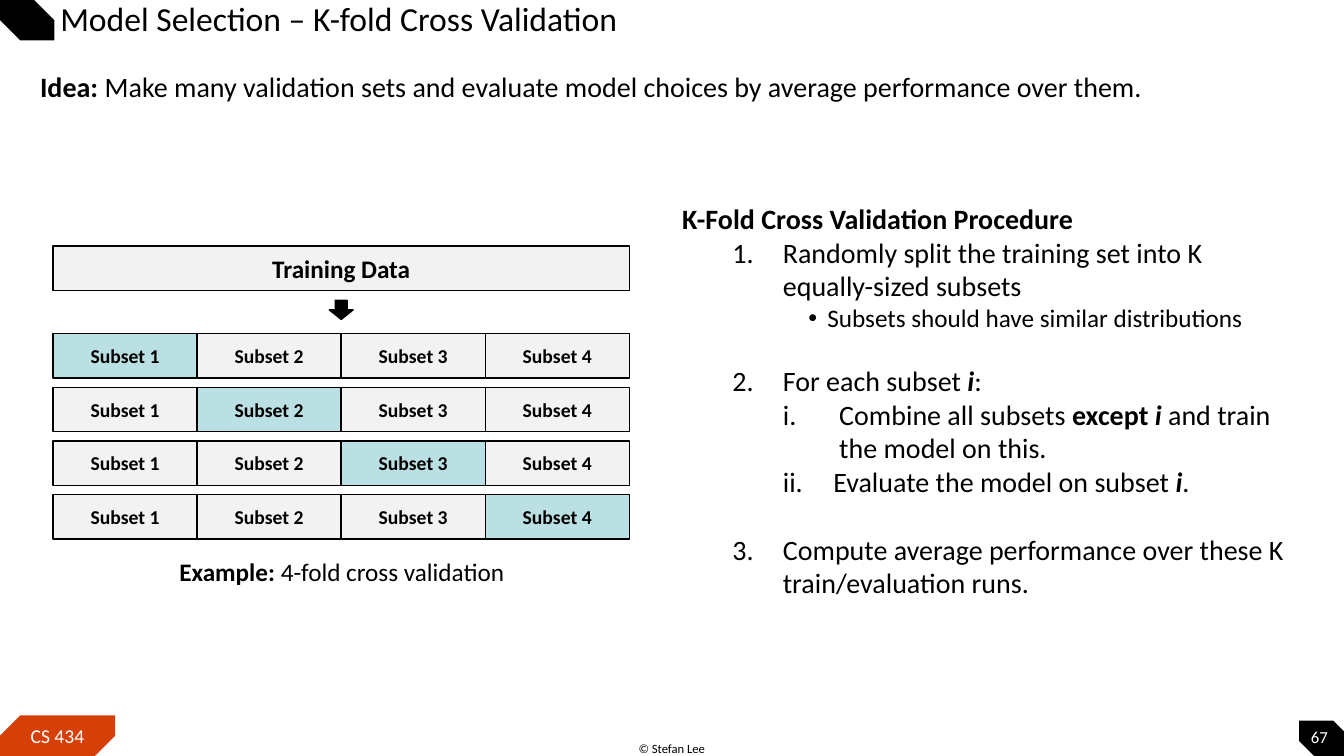
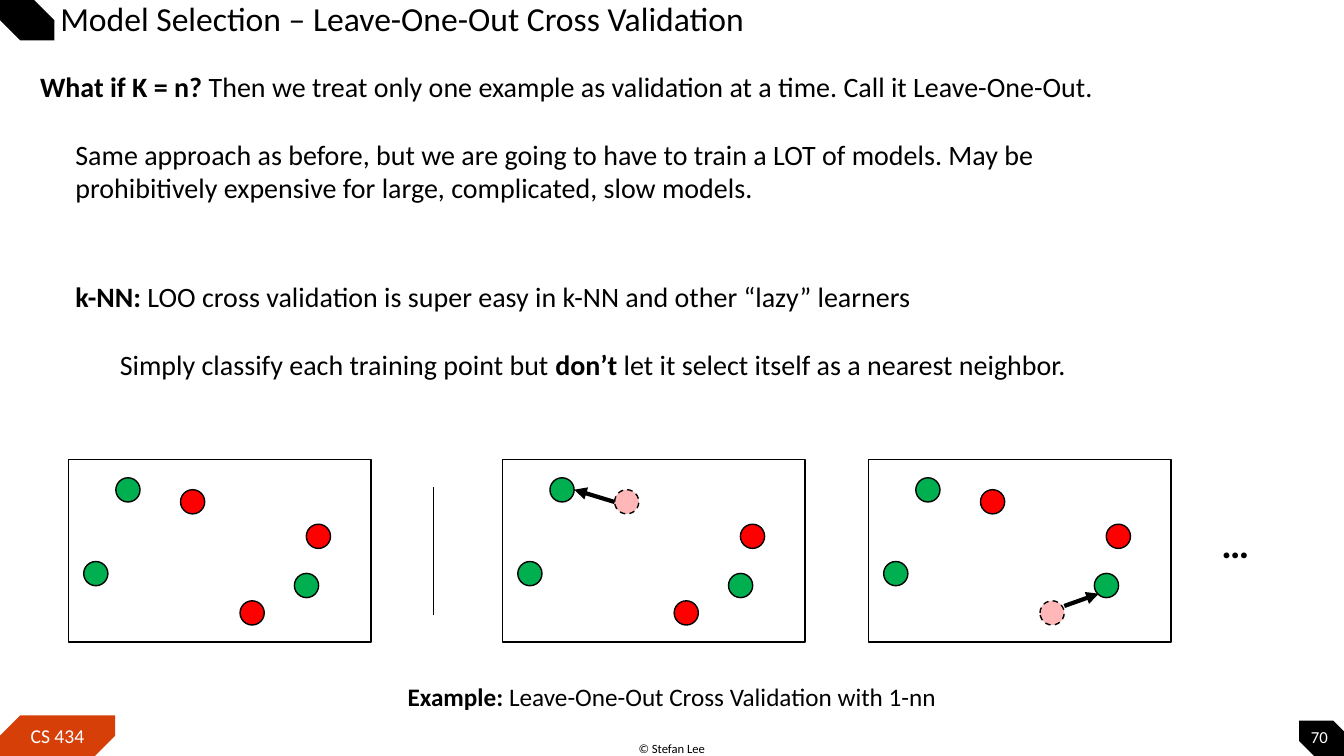
"""Builds two lecture slides on cross validation."""
from lxml import etree
from pptx import Presentation
from pptx.dml.color import RGBColor
from pptx.enum.dml import MSO_LINE
from pptx.enum.shapes import MSO_CONNECTOR, MSO_SHAPE
from pptx.enum.text import MSO_ANCHOR, PP_ALIGN
from pptx.oxml.ns import qn
from pptx.util import Cm, Pt

BLACK = RGBColor(0x00, 0x00, 0x00)
WHITE = RGBColor(0xFF, 0xFF, 0xFF)
ORANGE = RGBColor(0xD7, 0x3F, 0x09)
GRAY = RGBColor(0xF2, 0xF2, 0xF2)
TEAL = RGBColor(0xBB, 0xE0, 0xE3)
RED = RGBColor(0xFF, 0x00, 0x00)
PINK = RGBColor(0xFF, 0xB7, 0xB7)
GREEN = RGBColor(0x00, 0xB0, 0x50)

RECTANGLE = MSO_SHAPE.RECTANGLE
OVAL = MSO_SHAPE.OVAL
DOWN_ARROW = MSO_SHAPE.DOWN_ARROW
SNIPPED = MSO_SHAPE.SNIP_2_DIAG_RECTANGLE
STRAIGHT = MSO_CONNECTOR.STRAIGHT
DASH = MSO_LINE.DASH
MIDDLE = MSO_ANCHOR.MIDDLE
TOP = MSO_ANCHOR.TOP
LEFT = PP_ALIGN.LEFT
CENTER = PP_ALIGN.CENTER

FONT = "Calibri"
BOLD = "b"
BOLD_ITALIC = "bi"
TEXT_INSETS = (0.25, 0.13, 0.25, 0.13)

DOT = 0.61
PANEL_TOP, PANEL_WIDTH, PANEL_HEIGHT = 11.58, 7.62, 4.6
POINTS = [
    (2.82, 0.76, RED), (5.99, 1.63, RED), (4.32, 3.56, RED),
    (5.69, 2.87, GREEN), (0.38, 2.57, GREEN), (1.19, 0.46, GREEN),
]


class Deck:
    """Holds the shared style and the slide being drawn."""

    def __init__(self):
        """Start an empty widescreen presentation."""
        self.presentation = Presentation()
        self.presentation.slide_width = Cm(33.87)
        self.presentation.slide_height = Cm(19.05)
        self.slide = None

    def add_slide(self, title, number):
        """Add a slide with its title, corners and footers."""
        self.slide = self.presentation.slides.add_slide(self.presentation.slide_layouts[6])
        self.corner(32.74, 18.16, 1.37, BLACK, (0, 0.5))
        tag = self.corner(0, 18.03, 2.9, ORANGE, (0.5, 0))
        self.fill_paragraph(tag.text_frame.paragraphs[0], "CS 434", 14, WHITE, align=CENTER)
        self.corner(0, 0, 1.37, BLACK, (0, 0.5))
        self.text(15.57, 18.54, 2.72, 0.64, ["© Stefan Lee"], 9, align=CENTER)
        heading = self.text(0, 0.03, 28.75, 0.99, [title], 24, anchor=MIDDLE,
                            insets=(1.52, 0.13, 0.13, 0.13))
        heading.paragraphs[0].line_spacing = 0.9
        self.text(32.74, 18.16, 1.02, 0.79, [number], 12, WHITE, CENTER, MIDDLE, (0, 0, 0, 0))

    def fill_paragraph(self, paragraph, content, size, color=BLACK, bold=False, align=LEFT):
        """Fill a paragraph with a string or with (text, style) runs."""
        paragraph.alignment = align
        font = paragraph.font
        font.name, font.size, font.bold = FONT, Pt(size), bold
        font.color.rgb = color
        runs = [(content, "")] if isinstance(content, str) else content
        for words, style in runs:
            run = paragraph.add_run()
            run.text = words
            if "b" in style:
                run.font.bold = True
            if "i" in style:
                run.font.italic = True

    def text(self, left, top, width, height, contents, size, color=BLACK,
             align=LEFT, anchor=TOP, insets=TEXT_INSETS):
        """Add a wrapping text box and return its text frame."""
        box = self.slide.shapes.add_textbox(Cm(left), Cm(top), Cm(width), Cm(height))
        frame = box.text_frame
        frame.word_wrap = True
        frame.vertical_anchor = anchor
        (frame.margin_left, frame.margin_top,
         frame.margin_right, frame.margin_bottom) = map(Cm, insets)
        for index, content in enumerate(contents):
            paragraph = frame.add_paragraph() if index else frame.paragraphs[0]
            self.fill_paragraph(paragraph, content, size, color, align=align)
        return frame

    def shape(self, kind, left, top, width, height, fill=None, outline=True):
        """Add a preset shape with a flat fill and a thin black line."""
        shape = self.slide.shapes.add_shape(kind, Cm(left), Cm(top), Cm(width), Cm(height))
        shape.shadow.inherit = False
        if fill is None:
            shape.fill.background()
        else:
            shape.fill.solid()
            shape.fill.fore_color.rgb = fill
        if outline:
            shape.line.color.rgb = BLACK
            shape.line.width = Pt(1)
        else:
            shape.line.fill.background()
        return shape

    def corner(self, left, top, width, fill, snips):
        """Add a band with two snipped corners."""
        shape = self.shape(SNIPPED, left, top, width, 1.02, fill, outline=False)
        shape.adjustments[0], shape.adjustments[1] = snips
        return shape

    def cell(self, left, top, width, label, size, fill=GRAY):
        """Add a labelled data block."""
        shape = self.shape(RECTANGLE, left, top, width, 1.12, fill)
        shape.text_frame.vertical_anchor = MIDDLE
        self.fill_paragraph(shape.text_frame.paragraphs[0], label, size, bold=True, align=CENTER)

    def line(self, start, end, width, arrow=False):
        """Add a straight line, with an arrowhead at its end if asked."""
        connector = self.slide.shapes.add_connector(STRAIGHT, *map(Cm, start + end))
        connector.line.color.rgb = BLACK
        connector.line.width = Pt(width)
        properties = connector.line._get_or_add_ln()
        if arrow:
            etree.SubElement(properties, qn("a:tailEnd"), type="triangle")
        etree.SubElement(properties.getparent(), qn("a:effectLst"))

    def list_item(self, frame, content, size, level, left, hanging, marker, start=1, before=0):
        """Add a bulleted or numbered paragraph to a text frame."""
        paragraph = frame.add_paragraph()
        paragraph.level = level
        paragraph.space_before = Pt(before)
        properties = paragraph._p.get_or_add_pPr()
        properties.set("marL", str(Cm(left)))
        properties.set("indent", str(-Cm(hanging)))
        if marker == "•":
            etree.SubElement(properties, qn("a:buFont"), typeface="Arial")
            etree.SubElement(properties, qn("a:buChar"), char=marker)
        else:
            etree.SubElement(properties, qn("a:buFont"), typeface="+mj-lt")
            etree.SubElement(properties, qn("a:buAutoNum"), type=marker, startAt=str(start))
        self.fill_paragraph(paragraph, content, size)

    def scatter(self, left, held_out=None, arrow=None):
        """Add a panel of points, one of them possibly held out."""
        self.shape(RECTANGLE, left, PANEL_TOP, PANEL_WIDTH, PANEL_HEIGHT)
        for index, (x, y, color) in enumerate(POINTS):
            fill = PINK if index == held_out else color
            dot = self.shape(OVAL, left + x, PANEL_TOP + y, DOT, DOT, fill)
            if index == held_out:
                dot.line.dash_style = DASH
        if arrow:
            start, end = [(left + x, PANEL_TOP + y) for x, y in arrow]
            self.line(start, end, 3, arrow=True)


def k_fold_slide(deck):
    """Draw the K-fold slide."""
    deck.add_slide("Model Selection – K-fold Cross Validation", "67")
    deck.text(0.76, 1.63, 31.98, 1.12, [[
        ("Idea: ", BOLD),
        ("Make many validation sets and evaluate model choices by average "
         "performance over them.", ""),
    ]], 20)

    left, folds, cell_width = 1.34, 4, 3.63
    deck.cell(left, 6.2, folds * cell_width, "Training Data", 18)
    deck.shape(DOWN_ARROW, left + folds * cell_width / 2 - 0.3, 7.57, 0.6, 0.48, BLACK)
    for fold in range(folds):
        for subset in range(folds):
            deck.cell(left + subset * cell_width, 8.41 + fold * 1.35, cell_width,
                      f"Subset {subset + 1}", 14, TEAL if subset == fold else GRAY)
    deck.text(2.29, 13.89, 12.65, 1.02,
              [[("Example: ", BOLD), ("4-fold cross validation", "")]], 18, align=CENTER)

    frame = deck.text(16.94, 4.95, 16.05, 10.44,
                      [[("K-Fold Cross Validation Procedure", BOLD)]], 20)
    step, substep = "arabicPeriod", "romanLcPeriod"
    deck.list_item(frame, "Randomly split the training set into K equally-sized subsets",
                   20, 2, 2.54, 1.27, step)
    deck.list_item(frame, "Subsets should have similar distributions",
                   18, 3, 3.66, 0.48, "•")
    deck.list_item(frame, [("For each subset ", ""), ("i", BOLD_ITALIC), (":", "")],
                   20, 2, 2.54, 1.27, step, start=2, before=22)
    deck.list_item(frame, [("Combine all subsets ", ""), ("except ", BOLD),
                           ("i", BOLD_ITALIC), (" and train the model on this.", "")],
                   20, 3, 3.96, 1.42, substep)
    deck.list_item(frame, [("Evaluate the model on subset ", ""), ("i", BOLD_ITALIC), (".", "")],
                   20, 3, 3.81, 1.27, substep, start=2)
    deck.list_item(frame, "Compute average performance over these K train/evaluation runs.",
                   20, 2, 2.54, 1.27, step, start=3, before=24.4)


def leave_one_out_slide(deck):
    """Draw the leave-one-out slide."""
    deck.add_slide("Model Selection – Leave-One-Out Cross Validation", "70")
    deck.text(0.76, 1.63, 31.98, 1.12, [[
        ("What if K = n? ", BOLD),
        ("Then we treat only one example as validation at a time. Call it Leave-One-Out.", ""),
    ]], 20)
    deck.text(1.65, 3.33, 27.3, 1.96, [
        "Same approach as before, but we are going to have to train a LOT of models. "
        "May be prohibitively expensive for large, complicated, slow models.",
    ], 20)
    frame = deck.text(1.65, 6.91, 31, 2.82, [
        [("k-NN: ", BOLD),
         ("LOO cross validation is super easy in k-NN and other “lazy” learners", "")],
        [("Simply classify each training point but ", ""), ("don’t", BOLD),
         (" let it select itself as a nearest neighbor.", "")],
    ], 20)
    detail = frame.paragraphs[1]
    detail.space_before = Pt(24.4)
    detail._p.get_or_add_pPr().set("marL", str(Cm(1.12)))

    deck.scatter(1.73)
    deck.line((10.92, 12.27), (10.92, 15.49), 0.5)
    deck.scatter(12.67, held_out=0, arrow=[(2.82, 1.07), (1.8, 0.76)])
    deck.scatter(21.89, held_out=2, arrow=[(4.93, 3.69), (5.8, 3.38)])
    deck.text(30.53, 12.95, 2.46, 1.45, [[("…", BOLD)]], 28)
    deck.text(5.82, 17.04, 22.22, 1.02,
              [[("Example: ", BOLD), ("Leave-One-Out Cross Validation with 1-nn", "")]],
              18, align=CENTER)


def main():
    """Build and save the presentation."""
    deck = Deck()
    k_fold_slide(deck)
    leave_one_out_slide(deck)
    deck.presentation.save("out.pptx")


if __name__ == "__main__":
    main()
